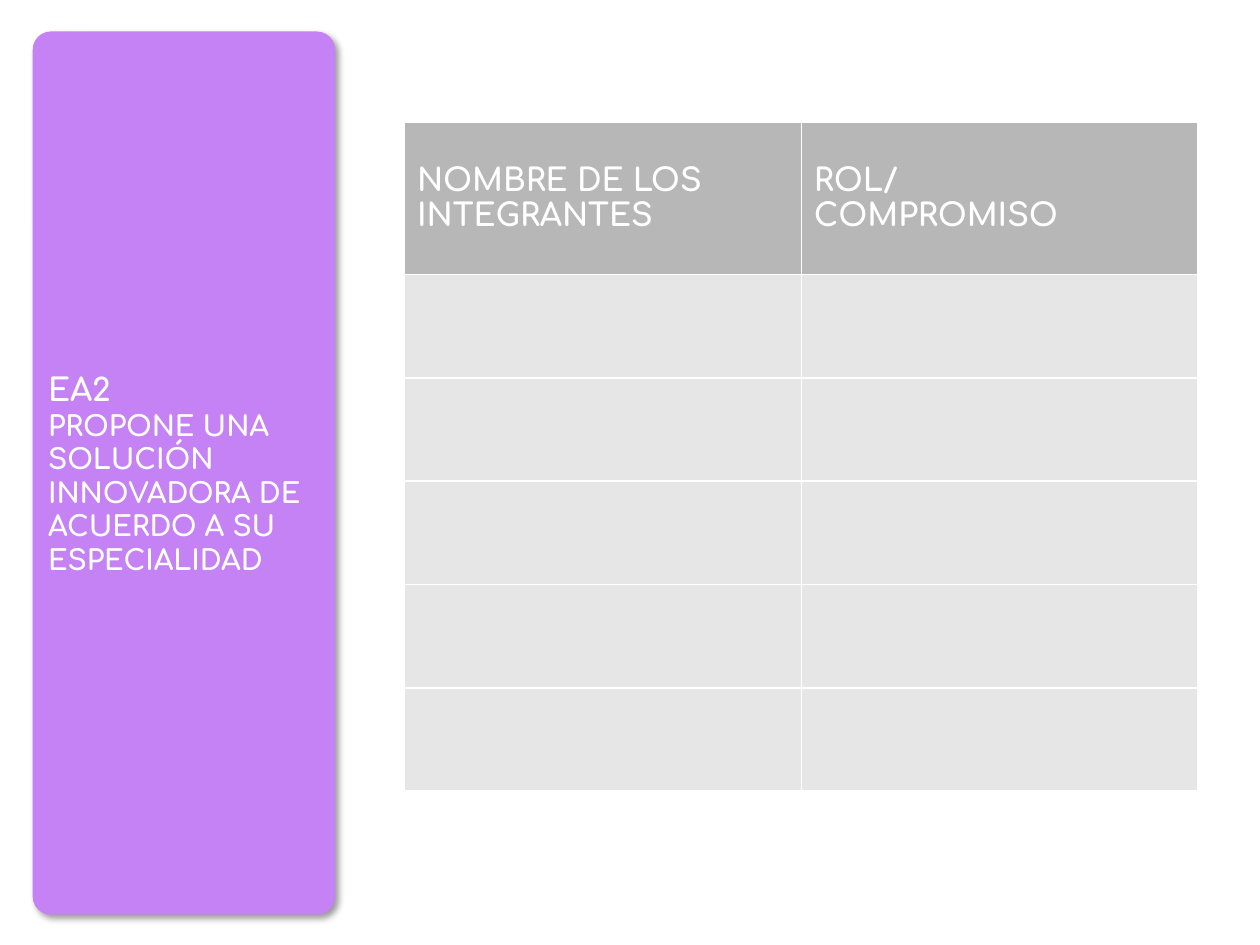
import pptx
import pptx.util
import pptx.dml.color
import pptx.enum.shapes
import pptx.enum.text
import pptx.oxml.ns
from lxml import etree

HEADERS = ["NOMBRE DE LOS INTEGRANTES", "ROL/\nCOMPROMISO"]
EMPTY_ROWS = 5
PANEL = [
    ("EA2", 18),
    ("PROPONE UNA SOLUCIÓN INNOVADORA DE ACUERDO A SU ESPECIALIDAD", 16),
]
COLORS = {"panel": "C582F4", "header": "B7B7B7", "body": "E7E6E6",
          "white": "FFFFFF", "shadow": "000000"}
FONT = "Comfortaa"
SLIDE_W, SLIDE_H = 10, 7.5
PANEL_BOX = (0.26, 0.25, 2.4, 7.01)
TABLE_LEFT, TABLE_TOP = 3.21, 0.97
COL_W, HEADER_H, ROW_H = 3.15, 1.21, 0.82

inches = pptx.util.Inches
pt = pptx.util.Pt
qn = pptx.oxml.ns.qn
MIDDLE = pptx.enum.text.MSO_ANCHOR.MIDDLE


def rgb(name):
    return pptx.dml.color.RGBColor.from_string(COLORS[name])


def paint(obj, name):
    obj.fill.solid()
    obj.fill.fore_color.rgb = rgb(name)


def style(p, size):
    for r in p.runs:
        r.font.name = FONT
        r.font.size = pt(size)
        r.font.bold = True
        r.font.color.rgb = rgb("white")


def add_color(parent, name):
    return etree.SubElement(parent, qn("a:srgbClr"), val=COLORS[name])


def add_borders(cell):
    tcPr = cell._tc.get_or_add_tcPr()
    for side in ("lnL", "lnR", "lnT", "lnB"):
        ln = etree.SubElement(tcPr, qn("a:" + side), w=str(pt(1)))
        add_color(etree.SubElement(ln, qn("a:solidFill")), "white")


def add_shadow(sp):
    sp.shadow.inherit = False
    effects = sp._element.spPr.find(qn("a:effectLst"))
    shadow = etree.SubElement(effects, qn("a:outerShdw"), blurRad=str(pt(4)),
                              dist=str(pt(3)), dir=str(45 * 60000),
                              algn="tl", rotWithShape="0")
    etree.SubElement(add_color(shadow, "shadow"), qn("a:alpha"), val="40000")


def add_team_table(s):
    rows, cols = EMPTY_ROWS + 1, len(HEADERS)
    height = HEADER_H + EMPTY_ROWS * ROW_H
    table = s.shapes.add_table(rows, cols, inches(TABLE_LEFT), inches(TABLE_TOP),
                               inches(cols * COL_W), inches(height)).table
    for col in table.columns:
        col.width = inches(COL_W)
    for i, row in enumerate(table.rows):
        row.height = inches(ROW_H if i else HEADER_H)
        for cell in row.cells:
            add_borders(cell)
            paint(cell, "body" if i else "header")
    for cell, text in zip(table.rows[0].cells, HEADERS):
        cell.vertical_anchor = MIDDLE
        cell.text_frame.text = text
        for p in cell.text_frame.paragraphs:
            style(p, 18)


def add_panel(s):
    sp = s.shapes.add_shape(pptx.enum.shapes.MSO_SHAPE.ROUNDED_RECTANGLE,
                            *map(inches, PANEL_BOX))
    sp.adjustments[0] = 0.06
    paint(sp, "panel")
    sp.line.fill.background()
    add_shadow(sp)
    tf = sp.text_frame
    tf.word_wrap = True
    tf.vertical_anchor = MIDDLE
    tf.margin_left = tf.margin_right = inches(0.08)
    tf.margin_top = tf.margin_bottom = inches(0.04)
    tf.text = "\n".join(text for text, size in PANEL)
    for p, (text, size) in zip(tf.paragraphs, PANEL):
        p.alignment = pptx.enum.text.PP_ALIGN.LEFT
        style(p, size)


def main():
    prs = pptx.Presentation()
    prs.slide_width, prs.slide_height = inches(SLIDE_W), inches(SLIDE_H)
    s = prs.slides.add_slide(prs.slide_layouts[6])
    add_team_table(s)
    add_panel(s)
    prs.save("out.pptx")


if __name__ == "__main__":
    main()
